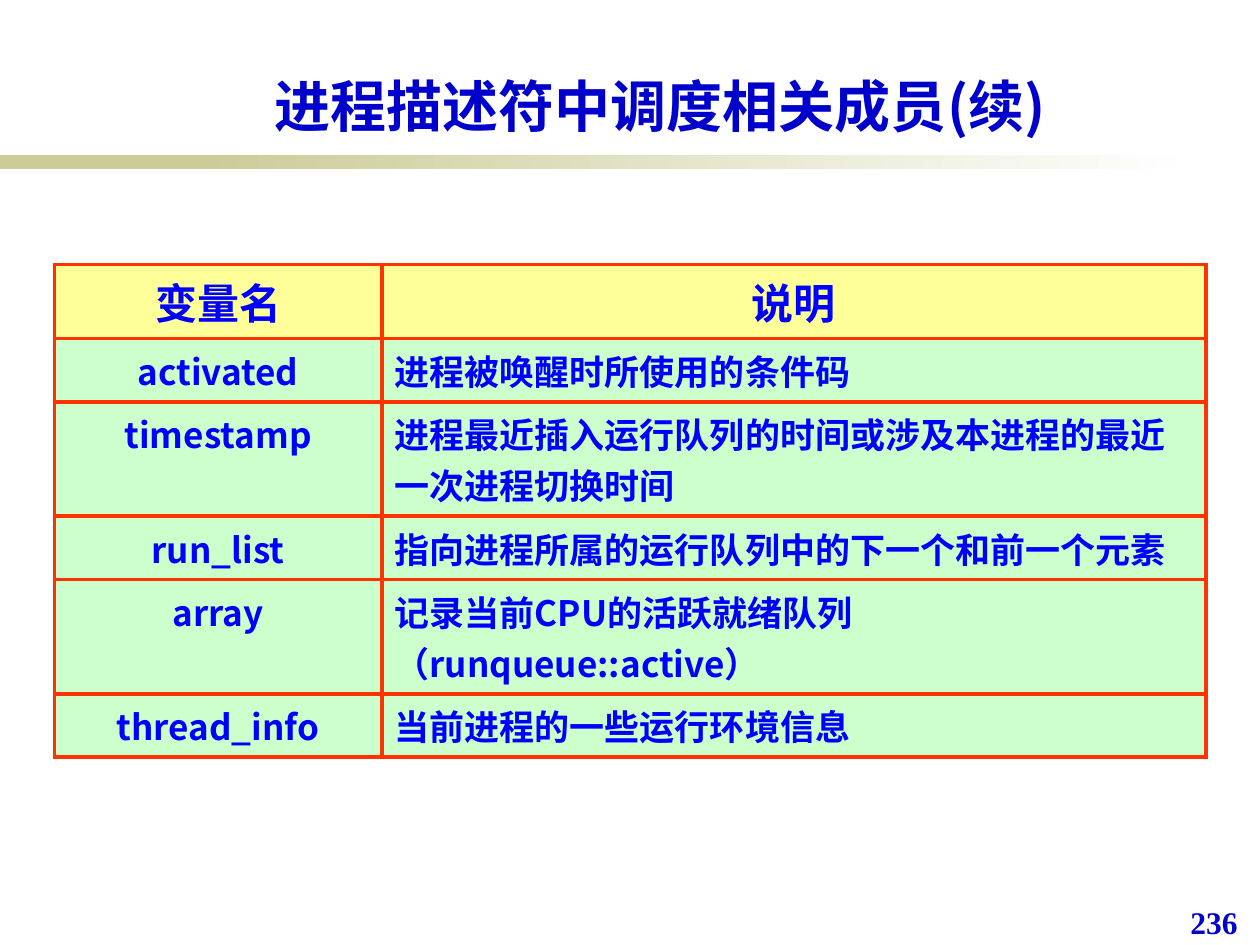
from lxml.etree import SubElement
from pptx import Presentation
from pptx.dml.color import RGBColor
from pptx.enum.text import MSO_ANCHOR, PP_ALIGN
from pptx.oxml.ns import qn
from pptx.util import Pt

ROWS = [
    ("变量名", "说明"),
    ("activated", "进程被唤醒时所使用的条件码"),
    ("timestamp", "进程最近插入运行队列的时间或涉及本进程的最近一次进程切换时间"),
    ("run_list", "指向进程所属的运行队列中的下一个和前一个元素"),
    ("array", "记录当前CPU的活跃就绪队列（runqueue::active）"),
    ("thread_info", "当前进程的一些运行环境信息"),
]
ROW_HEIGHTS = [42.3, 36.2, 65.3, 36.2, 65.3, 36.2]
COL_WIDTHS = [187.2, 470.9]


def rgb(color):
    """Turn a hex string into a colour."""
    return RGBColor.from_string(color)


def set_text(tf, text, font, size, color, align):
    """Write one bold paragraph, with the font for Latin and East Asian text."""
    p = tf.paragraphs[0]
    p.text = text
    p.alignment = align
    p.font.name = font
    p.font.size = Pt(size)
    p.font.bold = True
    p.font.color.rgb = rgb(color)
    ea = SubElement(p._p.pPr.find(qn("a:defRPr")), qn("a:ea"))
    ea.set("typeface", font)


def add_text(slide, box, text, font, size, align, anchor):
    """Add a text box."""
    tf = slide.shapes.add_textbox(*map(Pt, box)).text_frame
    tf.word_wrap = True
    tf.vertical_anchor = anchor
    set_text(tf, text, font, size, "0000CC", align)


def add_bar(slide, left, width, colors):
    """Add a piece of the title rule, solid or fading to the right."""
    sp = slide.shapes.add_shape(1, Pt(left), Pt(88.6), Pt(width), Pt(7.9))
    sp.shadow.inherit = False
    sp.line.fill.background()
    if len(colors) == 1:
        sp.fill.solid()
        sp.fill.fore_color.rgb = rgb(colors[0])
        return
    sp.fill.gradient()
    sp.fill.gradient_angle = 0
    for stop, color, position in zip(sp.fill.gradient_stops, colors, (0, 1)):
        stop.color.rgb = rgb(color)
        stop.position = position


def set_borders(cell, color, width):
    """Draw all four borders of a cell."""
    tcPr = cell._tc.get_or_add_tcPr()
    for side in ("lnL", "lnR", "lnT", "lnB"):
        ln = SubElement(tcPr, qn(f"a:{side}"), w=str(Pt(width)))
        fill = SubElement(ln, qn("a:solidFill"))
        SubElement(fill, qn("a:srgbClr"), val=color)


def add_member_table(slide):
    """Add the table of descriptor members."""
    table = slide.shapes.add_table(
        len(ROWS), len(COL_WIDTHS), Pt(31), Pt(151.2),
        Pt(sum(COL_WIDTHS)), Pt(sum(ROW_HEIGHTS))).table
    for column, width in zip(table.columns, COL_WIDTHS):
        column.width = Pt(width)
    for i, (texts, height) in enumerate(zip(ROWS, ROW_HEIGHTS)):
        table.rows[i].height = Pt(height)
        header = i == 0
        for j, text in enumerate(texts):
            cell = table.cell(i, j)
            set_borders(cell, "FF3300", 2.25)
            cell.fill.solid()
            cell.fill.fore_color.rgb = rgb("FFFF99" if header else "CCFFCC")
            align = PP_ALIGN.CENTER if header or j == 0 else PP_ALIGN.LEFT
            set_text(cell.text_frame, text, "Noto Sans CJK SC",
                     24 if header else 20, "0000FF", align)


def main():
    """Build the slide and save it."""
    prs = Presentation()
    prs.slide_width, prs.slide_height = Pt(720), Pt(540)
    slide = prs.slides.add_slide(prs.slide_layouts[6])
    add_bar(slide, 0, 167.8, ["CCCC99"])
    add_bar(slide, 113.8, 570.2, ["CCCC99", "FFFFFF"])
    add_text(slide, (673.2, 512.6, 46.1, 26.6), "236", "Times New Roman", 18,
             PP_ALIGN.LEFT, MSO_ANCHOR.TOP)
    add_text(slide, (48.2, 31.7, 658.1, 51.1), "进程描述符中调度相关成员(续)",
             "Noto Sans CJK JP", 32, PP_ALIGN.CENTER, MSO_ANCHOR.BOTTOM)
    add_member_table(slide)
    prs.save("out.pptx")


if __name__ == "__main__":
    main()
